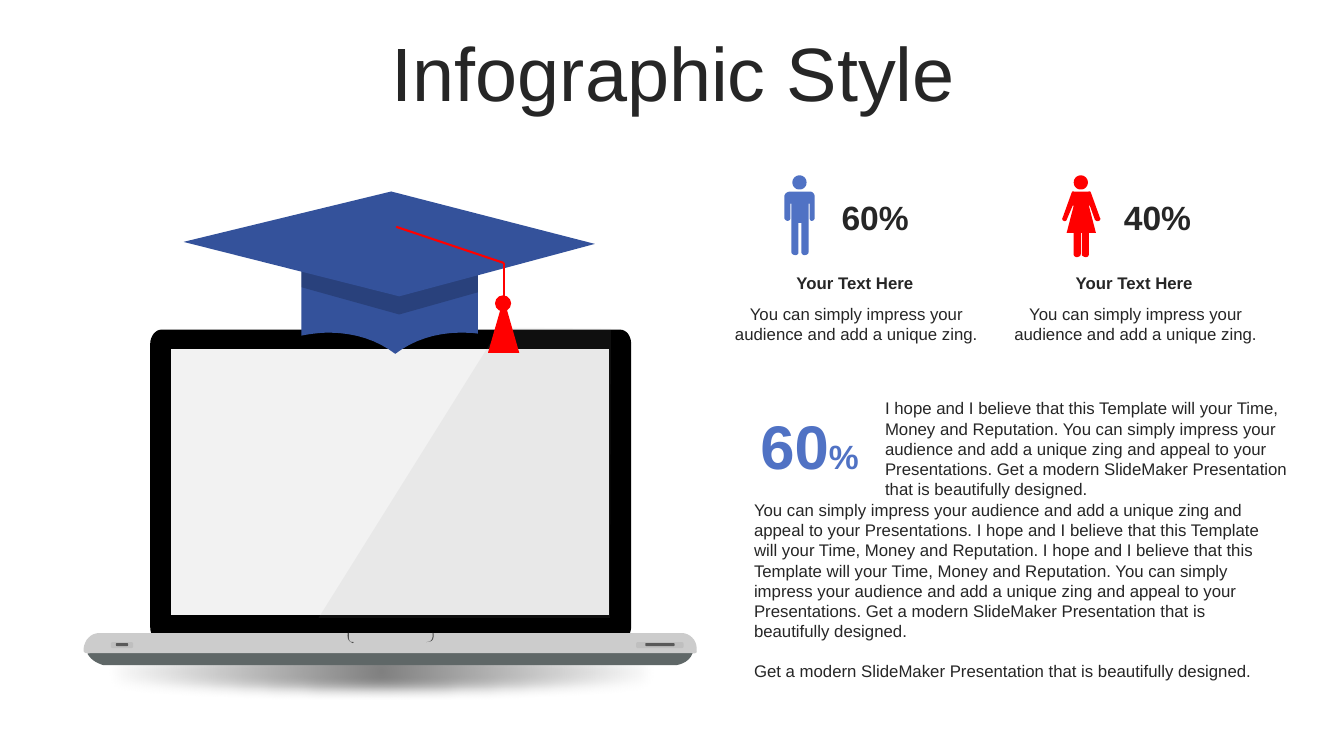
"""Build the graduation infographic slide."""
from dataclasses import dataclass

from lxml.etree import SubElement
from pptx import Presentation
from pptx.dml.color import RGBColor
from pptx.enum.shapes import MSO_CONNECTOR as Connector
from pptx.enum.shapes import MSO_SHAPE as Preset
from pptx.enum.text import MSO_ANCHOR as Anchor
from pptx.enum.text import PP_ALIGN as Align
from pptx.oxml import parse_xml
from pptx.oxml.ns import nsdecls, qn
from pptx.util import Inches, Pt


@dataclass(frozen=True)
class Theme:
    """Colours, type sizes and font of the slide."""
    font: str = "Arial"
    ink: str = "262626"
    blue: str = "5072C4"
    navy: str = "34529B"
    red: str = "FF0000"
    black: str = "000000"
    foot: str = "5F6767"
    screen: str = "F2F2F2"
    base: str = "CCCCCC"
    latch: str = "4D4D4D"
    port: str = "BFBFBF"
    slot: str = "595959"
    glare: str = "999999"
    shade: str = "808080"
    title: int = 54
    figure: int = 44
    number: int = 24
    body: int = 12


@dataclass(frozen=True)
class Box:
    """A region of the slide in inches."""
    left: float
    top: float
    width: float
    height: float

    def inner(self, left, top, width, height):
        """Return a box placed relative to this one."""
        return Box(self.left + left, self.top + top, width, height)

    def emu(self):
        """Return left, top, width and height as lengths."""
        return [Inches(v) for v in (self.left, self.top, self.width, self.height)]


THEME = Theme()
CURVE_STEPS = 8
HOPE = ("I hope and I believe that this Template will your Time, "
        "Money and Reputation.")
ZING = "You can simply impress your audience and add a unique zing"
MODERN = "Get a modern SlideMaker Presentation that is beautifully designed."
MAN = ("M .25 .16 L .06 .16 C .03 .16 0 .18 0 .21 L 0 .42 C 0 .44 .02 .45 .03 .45 "
       "C .05 .45 .06 .44 .06 .42 L .06 .28 L .07 .28 L .07 .76 "
       "C .07 .78 .09 .79 .11 .79 C .13 .79 .14 .78 .14 .76 L .14 .47 L .17 .47 "
       "L .17 .76 C .17 .78 .18 .79 .2 .79 C .22 .79 .24 .78 .24 .76 L .24 .28 "
       "L .25 .28 L .25 .42 C .25 .44 .26 .45 .27 .45 C .29 .45 .3 .44 .3 .42 "
       "L .3 .21 C .3 .18 .28 .16 .25 .16")
WOMAN = ("M .13 .16 L .26 .16 C .28 .16 .28 .15 .29 .17 L .38 .42 "
         "C .39 .43 .38 .45 .37 .45 C .35 .46 .34 .45 .33 .44 L .28 .3 L .27 .3 "
         "L .34 .57 L .27 .57 L .27 .78 C .27 .8 .26 .81 .24 .81 "
         "C .22 .81 .2 .8 .2 .78 L .2 .57 L .19 .57 L .19 .78 "
         "C .19 .8 .17 .81 .15 .81 C .13 .81 .12 .8 .12 .78 L .12 .57 L .05 .57 "
         "L .12 .3 L .11 .3 L .05 .44 C .05 .45 .03 .46 .02 .45 "
         "C .01 .45 0 .43 .01 .42 L .1 .17 C .11 .15 .11 .16 .13 .16")


def head(x):
    """Return the outline of a head centred at x."""
    return (f"M {x} 0 C {x + .04} 0 {x + .07} .03 {x + .07} .07 "
            f"C {x + .07} .11 {x + .04} .14 {x} .14 "
            f"C {x - .04} .14 {x - .07} .11 {x - .07} .07 "
            f"C {x - .07} .03 {x - .04} 0 {x} 0")


def trace(outline):
    """Turn move, line and curve commands into points in mils."""
    points = []
    for command in outline.replace("L", "|").replace("C", "|").strip("M ").split("|"):
        values = [float(value) * 1000 for value in command.split()]
        if len(values) == 2:
            points.append(tuple(values))
            continue
        nodes = [points[-1], *zip(values[::2], values[1::2])]
        for step in range(1, CURVE_STEPS + 1):
            t = step / CURVE_STEPS
            weights = ((1 - t) ** 3, 3 * t * (1 - t) ** 2, 3 * t * t * (1 - t), t ** 3)
            points.append(tuple(sum(w * node[axis] for w, node in zip(weights, nodes))
                                for axis in (0, 1)))
    return points


def paint(shape, color, alpha=None):
    """Give a shape a flat fill without line or shadow."""
    shape.shadow.inherit = False
    shape.line.fill.background()
    shape.fill.solid()
    shape.fill.fore_color.rgb = RGBColor.from_string(color)
    if alpha is not None:
        srgb = shape.fill._xPr.find(".//" + qn("a:srgbClr"))
        SubElement(srgb, qn("a:alpha")).set("val", str(alpha * 1000))


def add_outline(slide, box, outlines, color, alpha=None):
    """Draw one freeform made of closed outlines."""
    first, *others = [trace(outline) for outline in outlines]
    builder = slide.shapes.build_freeform(*first[0], scale=914.4)
    builder.add_line_segments(first[1:], close=True)
    for points in others:
        builder.move_to(*points[0])
        builder.add_line_segments(points[1:], close=True)
    paint(builder.convert_to_shape(Inches(box.left), Inches(box.top)), color, alpha)


def add_preset(slide, preset, box, color):
    """Draw one flat preset shape."""
    shape = slide.shapes.add_shape(preset, *box.emu())
    paint(shape, color)
    return shape


def add_text(slide, box, paragraphs, align=Align.LEFT, anchor=Anchor.TOP, gap=0):
    """Write paragraphs of (text, size, colour, bold) runs."""
    frame = slide.shapes.add_textbox(*box.emu()).text_frame
    frame.word_wrap = True
    frame.vertical_anchor = anchor
    for index, runs in enumerate(paragraphs):
        para = frame.add_paragraph() if index else frame.paragraphs[0]
        para.alignment = align
        if index:
            para.space_before = Pt(gap)
        for text, size, color, bold in runs:
            span = para.add_run()
            span.text = text
            span.font.name, span.font.size, span.font.bold = THEME.font, Pt(size), bold
            span.font.color.rgb = RGBColor.from_string(color)
    return frame


def draw_shade(slide, box):
    """Draw the soft shade under the laptop."""
    shape = add_preset(slide, Preset.OVAL, box, THEME.shade)
    stops = "".join(f'<a:gs pos="{pos}"><a:srgbClr val="{THEME.shade}">'
                    f'<a:alpha val="{alpha}"/></a:srgbClr></a:gs>'
                    for pos, alpha in ((0, 100000), (70000, 0), (100000, 0)))
    gradient = parse_xml(
        f'<a:gradFill {nsdecls("a")} rotWithShape="1"><a:gsLst>{stops}</a:gsLst>'
        '<a:path path="circle"><a:fillToRect l="50000" t="50000" r="50000" b="50000"/>'
        '</a:path></a:gradFill>')
    properties = shape._element.spPr
    properties.replace(properties.find(qn("a:solidFill")), gradient)
    effects = properties.find(qn("a:effectLst"))
    SubElement(effects, qn("a:softEdge")).set("rad", str(Inches(0.12)))


def draw_laptop(slide, box):
    """Draw the laptop with its lid, screen, base and ports."""
    parts = (
        (THEME.foot, None, ["M 5.9 3.4 C 5.9 3.4 6.03 3.39 6.07 3.28 "
                            "C 6.07 3.25 6.05 3.23 6.02 3.23 L .13 3.25 "
                            "C .1 3.25 .07 3.27 .07 3.29 C .11 3.36 .19 3.39 .23 3.4"]),
        (THEME.black, None, ["M 5.46 3.02 C 5.46 3.09 5.41 3.16 5.35 3.16 L .8 3.16 "
                             "C .74 3.16 .69 3.1 .69 3.02 L .69 .21 "
                             "C .69 .14 .74 .07 .8 .07 L 5.35 .07 "
                             "C 5.41 .07 5.46 .13 5.46 .21"]),
        (THEME.screen, None, ["M .9 .26 L 5.24 .26 L 5.24 2.9 L .9 2.9"]),
        (THEME.base, None, ["M .19 3.08 L 5.96 3.08 C 6.04 3.08 6.11 3.15 6.11 3.23 "
                            "L 6.11 3.26 C 6.11 3.26 6.12 3.29 6.06 3.28 L .11 3.28 "
                            "C .09 3.28 .04 3.29 .03 3.26 L .03 3.23 "
                            "C .04 3.15 .1 3.08 .19 3.08"]),
        (THEME.latch, None, ["M 2.65 3.08 L 2.66 3.08 C 2.66 3.16 2.66 3.17 2.71 3.17 "
                             "L 2.7 3.18 C 2.63 3.16 2.65 3.08 2.65 3.08",
                             "M 3.49 3.08 L 3.5 3.08 C 3.51 3.16 3.47 3.17 3.43 3.17 "
                             "C 3.47 3.17 3.5 3.15 3.49 3.08"]),
        (THEME.glare, 10, ["M 4.16 .05 L 5.26 .06 L 5.25 2.93 L 2.36 2.93"]),
    )
    for color, alpha, outlines in parts:
        add_outline(slide, box, outlines, color, alpha)
    for left, width, inset in ((0.3, 0.22, 0.05), (5.51, 0.47, 0.09)):
        port = box.inner(left, 3.17, width, 0.06)
        slot = port.inner(inset, 0.01, width - 2 * inset, 0.03)
        for area, color in ((port, THEME.port), (slot, THEME.slot)):
            add_preset(slide, Preset.ROUNDED_RECTANGLE, area, color).adjustments[0] = 0.28


def draw_cap(slide, box):
    """Draw the graduation cap and its tassel."""
    crown = ("M 1.17 .42 L 2.92 .42 L 2.92 1.41 C 2.86 1.4 2.8 1.4 2.74 1.4 "
             "C 2.5 1.4 2.27 1.48 2.1 1.61 C 1.93 1.48 1.7 1.4 1.45 1.4 "
             "C 1.36 1.4 1.26 1.41 1.17 1.43")
    band = "M 1.17 .65 L 2.92 .65 L 2.92 1 L 2.14 1.22 L 1.17 .95"
    board = "M 2.06 0 L 0 .5 L 2.14 1.04 L 4.08 .52"
    for outline, color, alpha in ((crown, THEME.navy, None), (band, THEME.black, 20),
                                  (board, THEME.navy, None)):
        add_outline(slide, box, [outline], color, alpha)
    cord = ((2.11, 0.35), (3.18, 0.71), (3.18, 1.3))
    for start, end in zip(cord, cord[1:]):
        ends = [Inches(base + shift) for point in (start, end)
                for base, shift in zip((box.left, box.top), point)]
        line = slide.shapes.add_connector(Connector.STRAIGHT, *ends)
        line.line.color.rgb = RGBColor.from_string(THEME.red)
        line.line.width = Pt(1.5)
        SubElement(line._element.spPr, qn("a:effectLst"))
    add_preset(slide, Preset.ISOSCELES_TRIANGLE, box.inner(3.02, 1.06, 0.31, 0.54), THEME.red)
    add_preset(slide, Preset.OVAL, box.inner(3.09, 1.03, 0.16, 0.16), THEME.red)


def draw_share(slide, box, person, color, person_left, number_left, number):
    """Draw one person with a percentage, heading and caption."""
    add_outline(slide, box.inner(person_left, 0, 0.4, 0.8), person, color)
    add_text(slide, box.inner(number_left, 0.16, 1.02, 0.5),
             [[(number, THEME.number, THEME.ink, True)]], Align.CENTER, Anchor.MIDDLE)
    add_text(slide, box.inner(0, 0.92, 2.7, 0.3),
             [[("Your Text Here", THEME.body, THEME.ink, True)]], Align.CENTER)
    add_text(slide, box.inner(0, 1.22, box.width, 0.5),
             [[(ZING + ".", THEME.body, THEME.ink, False)]], Align.CENTER)


def draw_story(slide, box):
    """Write the large percentage and the texts around it."""
    appeal = ZING + " and appeal to your Presentations."
    add_text(slide, box.inner(0, 0.09, 1.5, 0.84),
             [[("60", THEME.figure, THEME.blue, True), ("%", THEME.number, THEME.blue, True)]],
             Align.CENTER, Anchor.MIDDLE)
    texts = ((box.inner(0.1, 1.01, 5.32, 1.92),
              (f"{appeal} {HOPE} {HOPE} {appeal} {MODERN}", MODERN)),
             (box.inner(1.4, 0, 4.2, 1.11), (f"{HOPE} {appeal} {MODERN}",)))
    for area, lines in texts:
        add_text(slide, area, [[(line, THEME.body, THEME.ink, False)] for line in lines], gap=14)


def main():
    """Build and save the deck."""
    deck = Presentation()
    deck.slide_width, deck.slide_height = Inches(13.33), Inches(7.5)
    page = deck.slides.add_slide(deck.slide_layouts[6])
    draw_shade(page, Box(-0.17, 6.37, 7.9, 0.58))
    draw_laptop(page, Box(0.8, 3.2, 6.12, 3.4))
    title = add_text(page, Box(0.35, 0.37, 12.66, 0.79),
                     [[("Infographic Style", THEME.title, THEME.ink, False)]],
                     Align.CENTER, Anchor.MIDDLE)
    title.paragraphs[0].line_spacing = 0.9
    draw_share(page, Box(7.13, 1.74, 2.73, 1.72), [MAN, head(0.15)], THEME.blue, 0.65, 1.04, "60%")
    draw_share(page, Box(9.9, 1.74, 2.73, 1.72), [WOMAN, head(0.19)], THEME.red, 0.63, 1.07, "40%")
    draw_story(page, Box(7.28, 3.9, 5.6, 2.93))
    draw_cap(page, Box(1.82, 1.9, 4.08, 1.61))
    deck.save("out.pptx")


if __name__ == "__main__":
    main()
